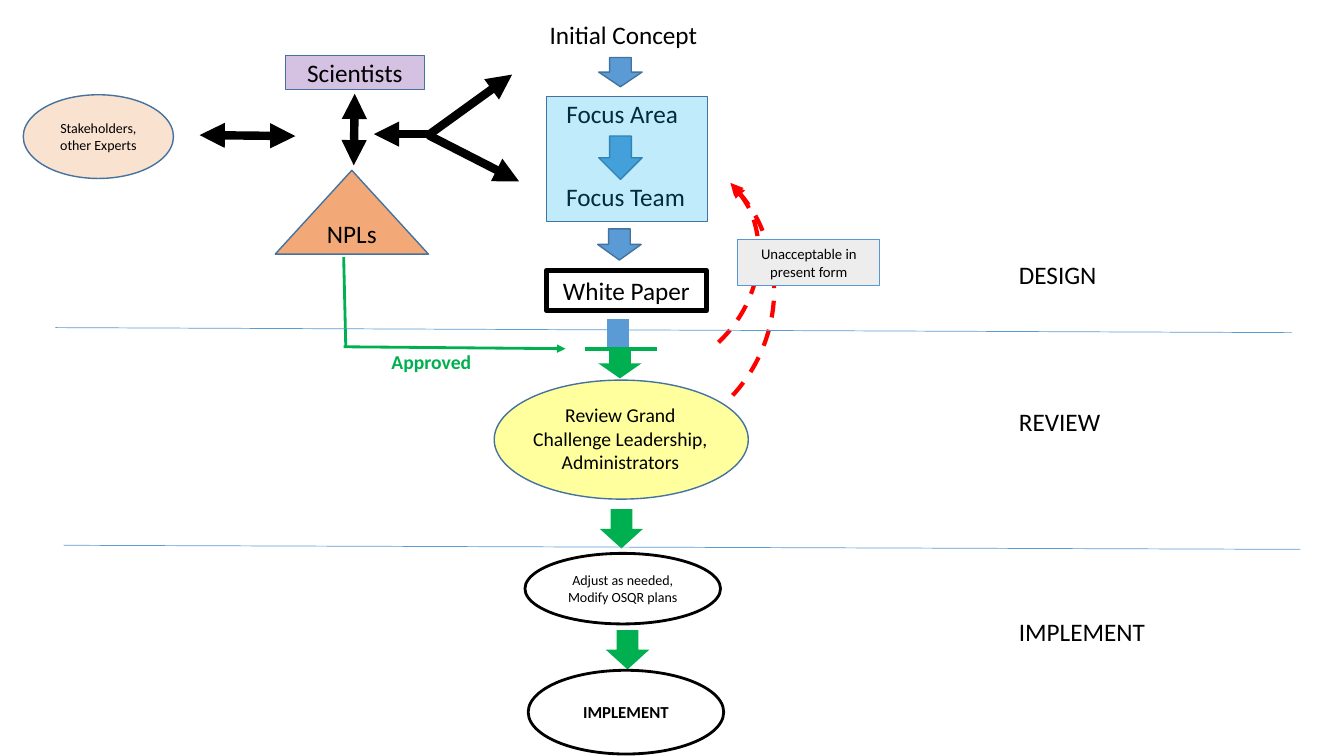
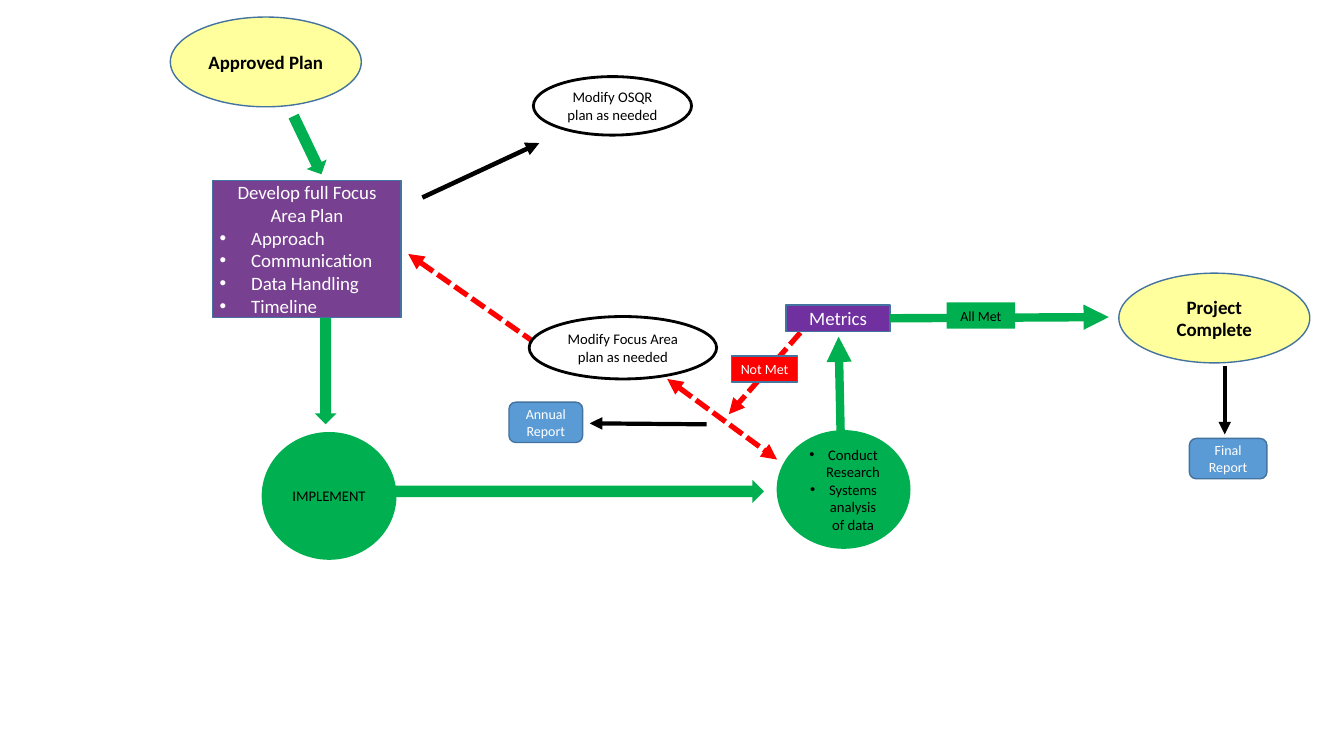
from lxml.etree import SubElement
from pptx import Presentation
from pptx.dml.color import RGBColor
from pptx.enum.dml import MSO_LINE
from pptx.enum.shapes import MSO_CONNECTOR, MSO_SHAPE
from pptx.enum.text import PP_ALIGN
from pptx.oxml.ns import qn
from pptx.util import Pt

INK = {
    "black": "000000", "white": "FFFFFF", "edge": "43739E", "blue": "5B9BD5",
    "green": "00B050", "red": "FF0000", "yellow": "FFFF00", "violet": "7030A0",
    "plum": "774090", "orange": "ED7D31", "peach": "F4B183", "sky": "00B0F0",
    "grey": "EDEDED", "rim": "5698D3",
}
FONT = "Calibri"
OVAL, RECT = MSO_SHAPE.OVAL, MSO_SHAPE.RECTANGLE
ROUND, ARROW = MSO_SHAPE.ROUNDED_RECTANGLE, MSO_SHAPE.RIGHT_ARROW
MID, LEFT = PP_ALIGN.CENTER, PP_ALIGN.LEFT
TIGHT = (5, 3)


def draw(page, kind, at, text="", size=18, color="black", fill=None, alpha=100,
         edge=None, width=1, bold=False, side=MID, pad=(7.2, 3.6), turn=0, hang=0):
    spot = [Pt(v) for v in at]
    if kind is None:
        item = page.shapes.add_textbox(*spot)
    else:
        item = page.shapes.add_shape(kind, *spot)
        item.shadow.inherit = False
        item.rotation = turn
        if fill:
            item.fill.solid()
            item.fill.fore_color.rgb = RGBColor.from_string(INK[fill])
            if alpha < 100:
                tint = item._element.spPr.find(qn("a:solidFill"))[0]
                SubElement(tint, qn("a:alpha")).set("val", str(alpha * 1000))
        else:
            item.fill.background()
        if edge:
            item.line.color.rgb = RGBColor.from_string(INK[edge])
            item.line.width = Pt(width)
        else:
            item.line.fill.background()
    if not text:
        return item
    frame = item.text_frame
    frame.word_wrap = True
    frame.margin_left = frame.margin_right = Pt(pad[0])
    frame.margin_top = frame.margin_bottom = Pt(pad[1])
    for i, words in enumerate(text.split("\n")):
        para = frame.add_paragraph() if i else frame.paragraphs[0]
        para.alignment = side
        if words.startswith("•"):
            props = para._p.get_or_add_pPr()
            props.set("marL", str(Pt(hang)))
            props.set("indent", str(-Pt(hang)))
            SubElement(props, qn("a:buFont")).set("typeface", "Arial")
            SubElement(props, qn("a:buChar")).set("char", "•")
            words = words[1:]
        run = para.add_run()
        run.text = words
        run.font.name = FONT
        run.font.size = Pt(size)
        run.font.bold = bold
        run.font.color.rgb = RGBColor.from_string(INK[color])
    return item


def wire(page, ends, color, width, tips="", dash=None, item=None):
    if item is None:
        item = page.shapes.add_connector(MSO_CONNECTOR.STRAIGHT, *[Pt(v) for v in ends])
        SubElement(item._element.spPr, qn("a:effectLst"))
    item.line.color.rgb = RGBColor.from_string(INK[color])
    item.line.width = Pt(width)
    if dash:
        item.line.dash_style = dash
    line = item._element.spPr.find(qn("a:ln"))
    for tip in tips.split():
        SubElement(line, qn(f"a:{tip}End")).set("type", "triangle")
    return item


deck = Presentation()
deck.slide_width, deck.slide_height = Pt(960), Pt(540)
blank = deck.slide_layouts[6]

flow = deck.slides.add_slide(blank)
draw(flow, OVAL, (353, 271.5, 181.5, 85), fill="yellow", alpha=38, edge="edge")
draw(flow, OVAL, (375, 395.3, 139.7, 50.4), "Adjust as needed, Modify OSQR plans", 10,
     edge="black", width=2)
draw(flow, RECT, (203.8, 39.6, 99.4, 24.5), "Scientists", fill="violet", alpha=29, edge="edge")
draw(flow, MSO_SHAPE.ISOSCELES_TRIANGLE, (196.6, 121.7, 109.4, 59.8), "NPLs",
     fill="orange", alpha=66, edge="edge")
draw(flow, OVAL, (16.6, 67.7, 107.3, 59.8), "Stakeholders, other Experts", 10,
     fill="peach", alpha=37, edge="edge")

for words, x, y, w in (("Initial Concept", 379.4, 10.1, 131.8),
                       ("Focus Area ", 396.7, 67, 99.4),
                       ("Focus Team", 386, 126, 121.7)):
    draw(flow, None, (x, y, w, 29), words)

for x, y, w, color in ((432.7, 36, 20.9, "blue"), (427.7, 97.2, 31, "blue"),
                       (431.3, 159.1, 22.3, "blue"), (432, 244, 21.6, "green"),
                       (429.8, 362.2, 28.1, "green"), (434.2, 448.6, 28.1, "green")):
    draw(flow, ARROW, (x, y, w, 31), fill=color, turn=90,
         edge="edge" if color == "blue" else None)

draw(flow, RECT, (390.2, 193, 114.5, 29), "White Paper", edge="black", width=3.5)
draw(flow, None, (370.8, 284.4, 144.7, 58.3),
     "Review Grand Challenge Leadership,\nAdministrators", 14)
draw(flow, None, (266.4, 246.2, 83.5, 24.5), "Approved", 14, "green", bold=True)
draw(flow, RECT, (390.2, 69.1, 115.2, 89.3), fill="sky", alpha=25, edge="edge")

for at in ((390.2, 107.3, 146.2, 167.8), (334.1, 97.9, 218.2, 221)):
    arc = draw(flow, MSO_SHAPE.ARC, at, turn=45.3)
    arc.adjustments[0], arc.adjustments[1] = 162, 1.172
    wire(flow, None, "red", 3, "head", MSO_LINE.DASH, arc)

for ends, color, width, tips in (
        ((253.4, 67, 252.7, 118.1), "black", 6, "head tail"),
        ((211, 97.2, 142.6, 96.5), "black", 6, "head tail"),
        ((306, 96.5, 365.8, 53.3), "black", 6, "tail"),
        ((306, 96.5, 370.8, 129.6), "black", 6, "tail"),
        ((308.9, 95.8, 267.1, 95.8), "black", 6, "tail"),
        ((245.5, 183.6, 247, 247.7), "green", 2, ""),
        ((245.5, 247.7, 403.9, 249.1), "green", 2, "tail"),
        ((417.6, 249.1, 469.4, 249.1), "green", 3, ""),
        ((39.6, 234, 923, 237.6), "blue", 0.5, ""),
        ((45.4, 389.5, 928.8, 392.4), "blue", 0.5, ""),
        ((441.4, 228.2, 441.4, 247.7), "blue", 15.5, "")):
    wire(flow, ends, color, width, tips)

draw(flow, RECT, (527, 171.4, 101.5, 32.4), "Unacceptable in present form", 10.5,
     fill="grey", edge="rim", width=0.75)
draw(flow, OVAL, (377.3, 478.8, 139.7, 59.8), "IMPLEMENT", 12,
     edge="black", width=2, bold=True)
for words, y in (("DESIGN", 181.4), ("REVIEW", 286.6), ("IMPLEMENT", 437)):
    draw(flow, None, (720.7, y, 167, 29), words, side=LEFT)

plan = deck.slides.add_slide(blank)
for ends, tips in (((476.6, 270.7, 555.1, 328.3), "head tail"),
                   ((291.6, 181.4, 385.2, 247), "head"),
                   ((571.7, 237.6, 520.6, 295.9), "tail")):
    wire(plan, ends, "red", 3.75, tips, MSO_LINE.SQUARE_DOT)
for ends, width in (((301.7, 141.1, 385.2, 102.2), 3.25),
                    ((504.7, 303.1, 421.2, 302.4), 3),
                    ((874.8, 261.4, 874.8, 310.3), 3)):
    wire(plan, ends, "black", width, "tail")

for words, x, y in (("Approved Plan", 121.7, 12.2), ("Project Complete", 799.2, 195.1)):
    draw(plan, OVAL, (x, y, 136.4, 64.1), words, 13.5, fill="yellow", alpha=38,
         edge="edge", bold=True, pad=TIGHT)
for at, turn in (((196.6, 95.8, 46.1, 15.8), 64.4), ((177.1, 239.8, 110.9, 15.8), 90),
                 ((281.5, 342.7, 264.2, 16.6), 0)):
    draw(plan, ARROW, at, fill="green", turn=turn)

box = draw(plan, RECT, (152, 128.9, 134.6, 97.9),
           "Develop full Focus Area Plan\n•Approach\n•Communication\n•Data Handling\n•Timeline",
           13.5, "white", fill="plum", edge="edge", side=LEFT, pad=TIGHT, hang=22.5)
box.text_frame.paragraphs[0].alignment = MID

for words, at in (("Modify OSQR plan as needed", (381, 54.7, 113, 41.8)),
                  ("Modify Focus Area plan as needed", (378, 226.1, 133.9, 44.6))):
    draw(plan, OVAL, at, words, 10.5, fill="white", edge="black", width=2, pad=TIGHT)

wire(plan, (600.5, 311, 599, 240.5), "green", 6, "tail")
for words, at in (("IMPLEMENT", (187.9, 309.6, 94.3, 89.3)),
                  ("•Conduct Research\n•Systems analysis of data", (555.8, 308.2, 93.6, 82.8))):
    draw(plan, OVAL, at, words, 10.5, fill="green", edge="green", width=2,
         pad=TIGHT, hang=13.5)

for words, x, y, w in (("Annual Report", 363.6, 287.3, 52.6),
                       ("Final Report", 849.6, 313.2, 55.4)):
    draw(plan, ROUND, (x, y, w, 28.8), words, 10, "white", fill="blue", edge="edge")

score = draw(plan, RECT, (561.6, 218, 74.2, 18.7), "Metrics", 13.5, "white",
             fill="violet", edge="edge", pad=TIGHT)
done = wire(plan, (635.8, 226.5, 792, 226.5), "green", 6, "tail")
done.begin_connect(score, 3)
draw(plan, RECT, (676.1, 216, 49, 18.7), "All Met", 10, fill="green", pad=TIGHT)
draw(plan, RECT, (522.7, 254.2, 46.8, 18.7), "Not Met", 10, "white",
     fill="red", edge="edge", pad=TIGHT)

deck.save("out.pptx")
